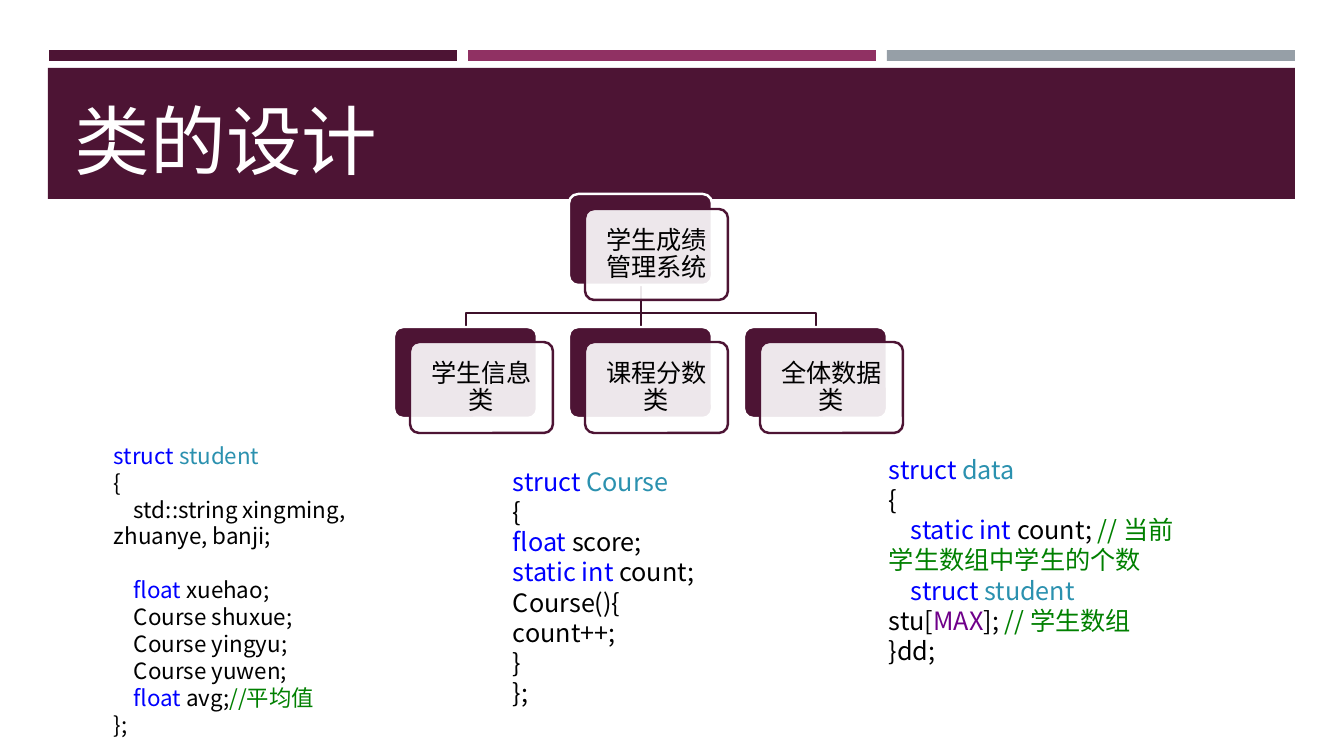
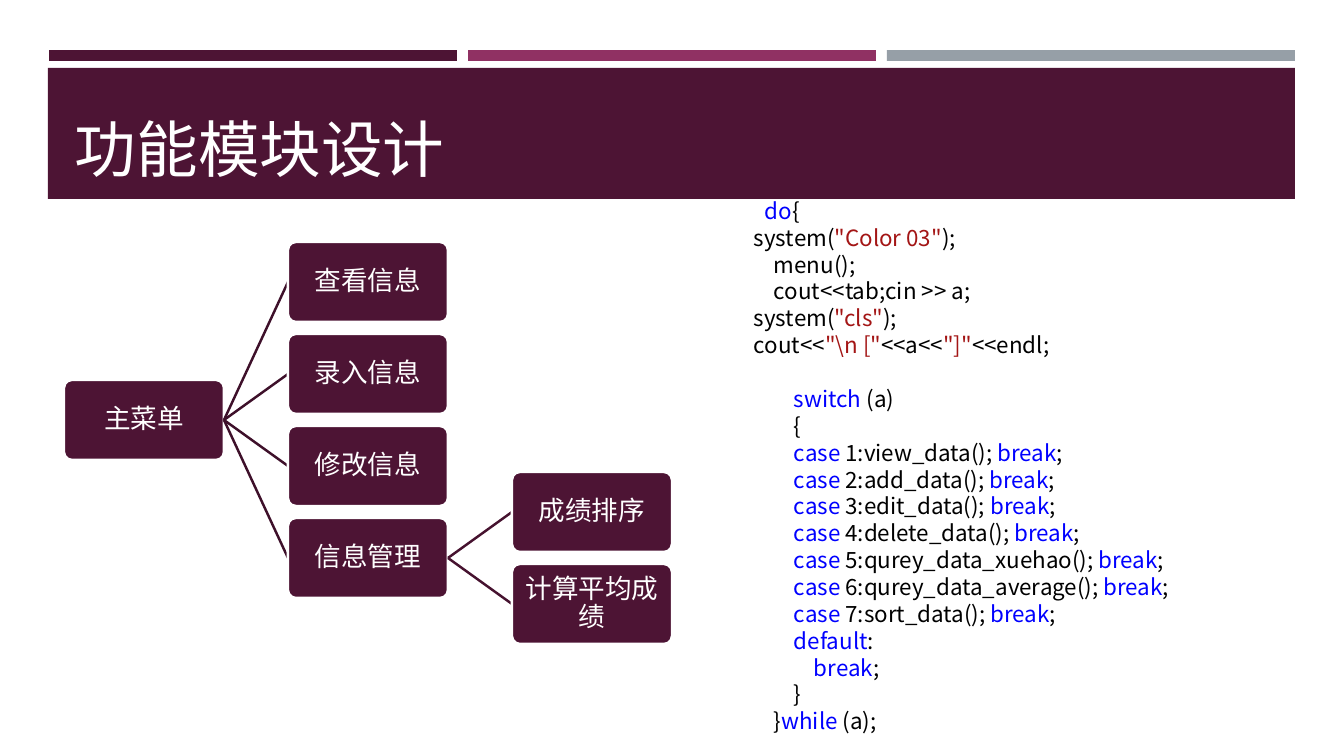
from lxml.etree import SubElement
from pptx import Presentation
from pptx.dml.color import RGBColor
from pptx.enum.shapes import MSO_CONNECTOR, MSO_SHAPE
from pptx.enum.text import MSO_ANCHOR, PP_ALIGN
from pptx.oxml.ns import qn
from pptx.util import Pt

SCALE = 914400 / 100.8
COLORS = {
    "plum": "4D1434", "berry": "903163", "steel": "969FA7",
    "branch": "3E102A", "twig": "46122F", "white": "FFFFFF",
    "plain": "000000", "key": "0000FF", "type": "2B91AF",
    "note": "008000", "macro": "6F008A", "string": "A31515",
}
RGB = {name: RGBColor.from_string(value) for name, value in COLORS.items()}
HEAD_FONT = "Cabin"
CODE_FONT = "Noto Sans CJK SC"
LINE_WIDTH = Pt(1.75)


def add_block(page, kind, area, fill, line=None):
    block = page.shapes.add_shape(kind, *[round(n * SCALE) for n in area])
    block.shadow.inherit = False
    block.fill.solid()
    block.fill.fore_color.rgb = RGB[fill]
    if line:
        block.line.color.rgb = RGB[line]
        block.line.width = LINE_WIDTH
    else:
        block.line.fill.background()
    if kind == MSO_SHAPE.ROUNDED_RECTANGLE:
        block.adjustments[0] = 0.1
    return block


def write(box, lines, size, font, spacing, align=PP_ALIGN.LEFT, anchor=MSO_ANCHOR.TOP, inset=None):
    frame = box.text_frame
    frame.word_wrap = True
    frame.vertical_anchor = anchor
    if inset is not None:
        side = round(inset * SCALE)
        frame.margin_left = frame.margin_right = side
        frame.margin_top = frame.margin_bottom = side
    for number, (indent, before, spans) in enumerate(lines):
        para = frame.add_paragraph() if number else frame.paragraphs[0]
        para.alignment = align
        para.line_spacing = spacing
        para.space_before = Pt(before)
        para._p.get_or_add_pPr().set("indent", str(round(indent * SCALE)))
        for color, text in spans:
            span = para.add_run()
            span.text = text
            span.font.size = Pt(size)
            span.font.name = font
            span.font.color.rgb = RGB[color]
            SubElement(span._r.get_or_add_rPr(), qn("a:ea"), typeface=font)


deck = Presentation()
deck.slide_width = round(1344 * SCALE)
deck.slide_height = round(756 * SCALE)

pages = []
for title, size in [("类的设计", 54), ("功能模块设计", 44)]:
    page = deck.slides.add_slide(deck.slide_layouts[6])
    for column, color in enumerate(["plum", "berry", "steel"]):
        add_block(page, MSO_SHAPE.RECTANGLE, (49 + 419 * column, 50, 408, 11), color)
    add_block(page, MSO_SHAPE.RECTANGLE, (48, 68, 1247, 131), "plum")
    box = page.shapes.add_textbox(*[round(n * SCALE) for n in (65, 78, 1216, 112)])
    write(box, [(0, 0, [("white", title)])], size, HEAD_FONT, 1.0, anchor=MSO_ANCHOR.BOTTOM)
    pages.append(page)
class_page, module_page = pages

for child_x in (816, 641, 466):
    builder = class_page.shapes.build_freeform(641, 285, scale=SCALE)
    builder.add_line_segments([(641, 313), (child_x, 313), (child_x, 327)], close=False)
    elbow = builder.convert_to_shape()
    elbow.shadow.inherit = False
    elbow.fill.background()
    elbow.line.color.rgb = RGB["branch"]
    elbow.line.width = LINE_WIDTH

classes = [
    ("学生成绩管理系统", 569, 194),
    ("学生信息类", 394, 327),
    ("课程分数类", 569, 327),
    ("全体数据类", 744, 327),
]
for name, left, top in classes:
    add_block(class_page, MSO_SHAPE.ROUNDED_RECTANGLE, (left, top, 143, 91), "plum", "white")
    card = add_block(class_page, MSO_SHAPE.ROUNDED_RECTANGLE,
                     (left + 16, top + 15, 143, 91), "white", "plum")
    tint = card.fill._xPr.find(qn("a:solidFill"))[0]
    SubElement(tint, qn("a:alpha"), val="90000")
    write(card, [(0, 0, [("plain", name)])], 18, HEAD_FONT, 0.9,
          PP_ALIGN.CENTER, MSO_ANCHOR.MIDDLE, 7)

student_code = [
    (0, 0, [("key", "struct "), ("type", "student")]),
    (0, 0, [("plain", "{")]),
    (20, 0, [("plain", "std::string xingming, zhuanye, banji;")]),
    (20, 19.2, [("key", "float "), ("plain", "xuehao;")]),
    *[(20, 0, [("plain", f"Course {subject};")]) for subject in ("shuxue", "yingyu", "yuwen")],
    (20, 0, [("key", "float"), ("plain", " avg;"), ("note", "//平均值")]),
    (0, 0, [("plain", "};")]),
]
course_code = [
    (0, 0, [("key", "struct "), ("type", "Course")]),
    (0, 0, [("plain", "{")]),
    (0, 0, [("key", "float"), ("plain", " score;")]),
    (0, 0, [("key", "static int"), ("plain", " count;")]),
    *[(0, 0, [("plain", text)]) for text in ("Course(){", "count++;", "}", "};")],
]
data_code = [
    (0, 0, [("key", "struct "), ("type", "data")]),
    (0, 0, [("plain", "{")]),
    (22, 0, [("key", "static int"), ("plain", " count; "),
             ("note", "// 当前学生数组中学生的个数")]),
    (22, 0, [("key", "struct "), ("type", "student "), ("plain", "stu["),
             ("macro", "MAX"), ("plain", "]; "), ("note", "// 学生数组")]),
    (0, 0, [("plain", "}dd;")]),
]

cases = ["view_data", "add_data", "edit_data", "delete_data",
         "qurey_data_xuehao", "qurey_data_average", "sort_data"]
menu_code = [
    (11, 0, [("key", "do"), ("plain", "{")]),
    (0, 0, [("plain", "system("), ("string", '"Color 03"'), ("plain", ");")]),
    (20, 0, [("plain", "menu();")]),
    (20, 0, [("plain", "cout<<tab;cin >> a;")]),
    (0, 0, [("plain", "system("), ("string", '"cls"'), ("plain", ");")]),
    (0, 0, [("plain", "cout<<"), ("string", '"\\n ["'), ("plain", "<<a<<"),
            ("string", '"]"'), ("plain", "<<endl;")]),
    (40, 19.2, [("key", "switch"), ("plain", " (a)")]),
    (40, 0, [("plain", "{")]),
    *[(40, 0, [("key", "case"), ("plain", f" {number}:{call}(); "),
               ("key", "break"), ("plain", ";")])
      for number, call in enumerate(cases, 1)],
    (40, 0, [("key", "default"), ("plain", ":")]),
    (60, 0, [("key", "break"), ("plain", ";")]),
    (40, 0, [("plain", "}")]),
    (20, 0, [("plain", "}"), ("key", "while"), ("plain", " (a);")]),
]

listings = [
    (class_page, (104, 437, 321, 308), 16, student_code),
    (class_page, (879, 449, 315, 254), 18, data_code),
    (class_page, (503, 461, 288, 255), 18, course_code),
    (module_page, (744, 192, 515, 553), 16, menu_code),
]
for page, area, size, lines in listings:
    box = page.shapes.add_textbox(*[round(n * SCALE) for n in area])
    write(box, lines, size, CODE_FONT, Pt(size * 1.2))

modules = [
    ("主菜单", 0, 3, None),
    ("查看信息", 1, 0, 3),
    ("录入信息", 1, 2, 3),
    ("修改信息", 1, 4, 3),
    ("信息管理", 1, 6, 3),
    ("成绩排序", 2, 5, 6),
    ("计算平均成绩", 2, 7, 6),
]
for name, level, row, parent_row in modules:
    left, top = 64 + 224 * level, 242 + 46 * row
    if parent_row is not None:
        ends = (left - 64, 282 + 46 * parent_row, left, top + 40)
        link = module_page.shapes.add_connector(
            MSO_CONNECTOR.STRAIGHT, *[round(n * SCALE) for n in ends])
        link.line.color.rgb = RGB["branch" if level == 1 else "twig"]
        link.line.width = LINE_WIDTH
        SubElement(link._element.spPr, qn("a:effectLst"))
    block = add_block(module_page, MSO_SHAPE.ROUNDED_RECTANGLE,
                      (left, top, 160, 80), "plum", "white")
    write(block, [(0, 0, [("white", name)])], 19, HEAD_FONT, 0.9,
          PP_ALIGN.CENTER, MSO_ANCHOR.MIDDLE, 1)

deck.save("out.pptx")
